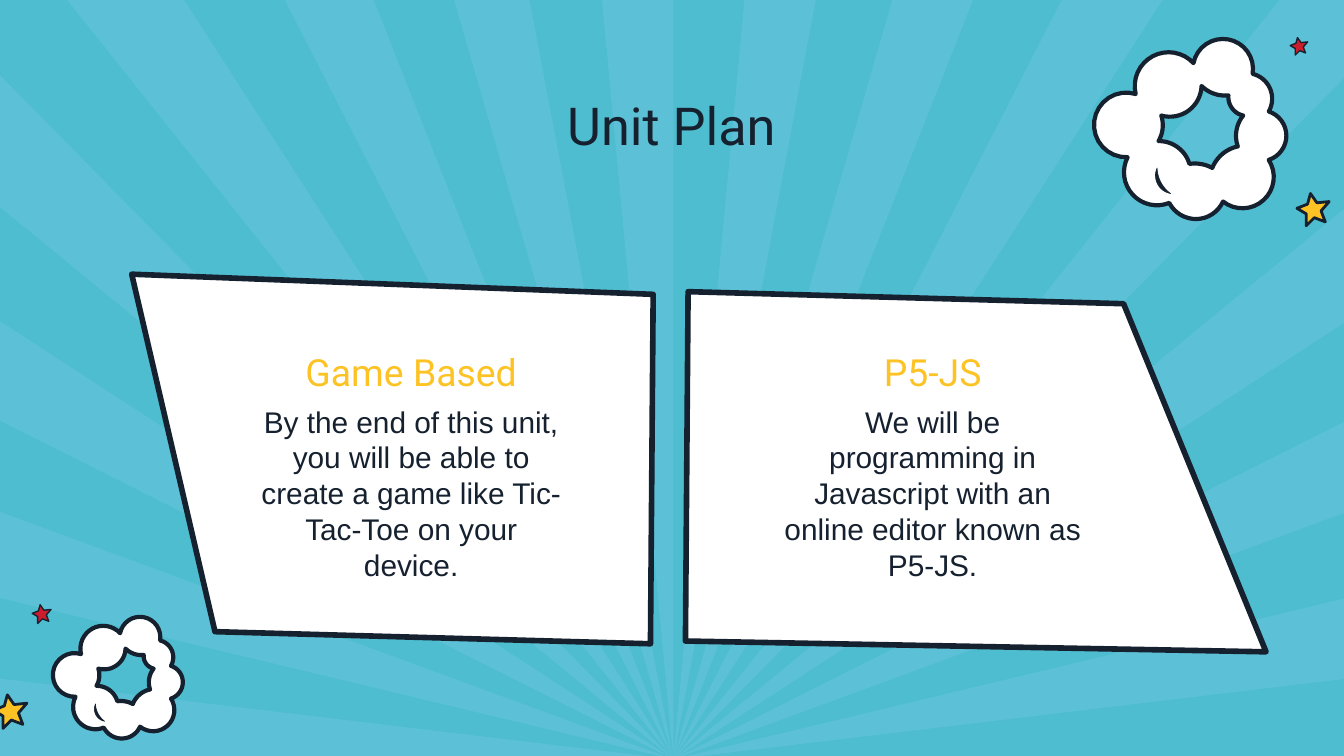
import math
from dataclasses import dataclass

from pptx import Presentation
from pptx import util as u
from pptx.dml.color import RGBColor
from pptx.enum import text


@dataclass(frozen=True)
class Theme:
    """Colours, fonts and type sizes of the slide."""
    sky: str = "4EBDCF"
    ray: str = "5CC1D6"
    ink: str = "162130"
    paper: str = "FFFFFF"
    gold: str = "FDC324"
    red: str = "CC1D2D"
    display: str = "Roboto"
    body: str = "Arial"
    title_size: int = 28
    heading_size: int = 20
    body_size: int = 16


T = Theme()
SLIDE_WIDTH = 10
SLIDE_HEIGHT = SLIDE_WIDTH * 9 / 16
HUB = (5.01, 5.65)
TOP_EDGES = [0.5, 1.37, 2.12, 2.78, 3.38, 3.94, 4.48, 5.01,
             5.54, 6.07, 6.64, 7.24, 7.9, 8.65, 9.52]
SIDE_EDGES = [0.56, 1.54, 2.39, 3.13, 3.81, 4.45, 5.05]
CLOUD_WIDTH = 1.48
CLOUD_RIM = [(0.76, 0.18), (0.98, 0), (1.2, 0.26), (1.34, 0.4), (1.32, 0.54),
             (1.45, 0.7), (1.32, 0.9), (1.3, 1.18), (0.98, 1.21), (0.77, 1.34),
             (0.58, 1.22), (0.33, 1.18), (0.27, 0.88), (0.02, 0.65),
             (0.33, 0.41), (0.39, 0.18)]
CLOUD_HOLE = [(0.82, 0.35), (0.76, 0.5), (0.52, 0.57), (0.53, 0.67), (0.5, 0.76),
              (0.66, 0.82), (0.73, 0.93), (0.81, 0.93), (0.9, 0.96),
              (0.95, 0.88), (1.09, 0.8), (1.08, 0.68), (1.13, 0.57),
              (1.05, 0.52), (1.02, 0.42), (0.92, 0.41)]
CLOUD_CREASE = [(0.49, 0.96), (0.52, 1.07), (0.59, 1.15), (0.5, 1.09)]
STAR = [(0, 0.46), (0.33, 0.33), (0.42, 0), (0.62, 0.29), (1, 0.25), (0.75, 0.54),
        (0.88, 0.88), (0.54, 0.75), (0.29, 1), (0.29, 0.63)]


def color(value):
    """Turn a hex string into a colour."""
    return RGBColor.from_string(value)


def outline(s, contours, fill, line=None, width=0):
    """Draw closed contours, given in inches, as one freeform."""
    b = None
    for contour in contours:
        pts = [(u.Inches(x), u.Inches(y)) for x, y in contour]
        if b is None:
            b = s.shapes.build_freeform(*pts[0], scale=1.0)
        else:
            b.move_to(*pts[0])
        b.add_line_segments(pts[1:], close=True)
    sp = b.convert_to_shape()
    sp.shadow.inherit = False
    sp.fill.solid()
    sp.fill.fore_color.rgb = color(fill)
    if line:
        sp.line.color.rgb = color(line)
        sp.line.width = u.Pt(width)
    else:
        sp.line.fill.background()
    return sp


def arc(a, m, b, steps=16):
    """Points on the circle from a through m towards b, without b."""
    (ax, ay), (mx, my), (bx, by) = a, m, b
    d = 2 * (ax * (my - by) + mx * (by - ay) + bx * (ay - my))
    qa, qm, qb = ax * ax + ay * ay, mx * mx + my * my, bx * bx + by * by
    cx = (qa * (my - by) + qm * (by - ay) + qb * (ay - my)) / d
    cy = (qa * (bx - mx) + qm * (ax - bx) + qb * (mx - ax)) / d
    start = math.atan2(ay - cy, ax - cx)
    sweep = (math.atan2(by - cy, bx - cx) - start) % math.tau
    if (math.atan2(my - cy, mx - cx) - start) % math.tau > sweep:
        sweep -= math.tau
    radius = math.hypot(ax - cx, ay - cy)
    angles = [start + sweep * i / steps for i in range(steps)]
    return [(cx + radius * math.cos(t), cy + radius * math.sin(t)) for t in angles]


def scallop(chain):
    """Join alternating corner and bulge points with arcs."""
    ends = chain[2::2] + chain[:1]
    return [p for a, m, b in zip(chain[::2], chain[1::2], ends) for p in arc(a, m, b)]


def sunburst(s):
    """Fan alternate rays from the hub to the slide edges."""
    right = 2 * HUB[0]
    rim = [(0, HUB[1])] + [(0, y) for y in reversed(SIDE_EDGES)]
    rim += [(x, 0) for x in TOP_EDGES]
    rim += [(right, y) for y in SIDE_EDGES]
    for a, b in zip(rim[::2], rim[1::2]):
        corner = [(right, 0)] if a[1] == 0 and b[0] == right else []
        outline(s, [[HUB, a] + corner + [b]], T.ray)


def cloud(s, left, top, width):
    """Draw a ring of cloud with a crease."""
    k = width / CLOUD_WIDTH

    def place(chain):
        return [(left + x * k, top + y * k) for x, y in scallop(chain)]

    outline(s, [place(CLOUD_RIM), place(CLOUD_HOLE)], T.paper, T.ink, 2.25)
    outline(s, [place(CLOUD_CREASE)], T.ink, T.ink, 0.31)


def star(s, left, top, size, fill, width):
    """Draw a tilted star in a square box."""
    outline(s, [[(left + x * size, top + y * size) for x, y in STAR]], fill, T.ink, width)


def label(s, box, words, font, size, ink, spacing=None, after=None):
    """Place one centred paragraph in a box."""
    tf = s.shapes.add_textbox(*map(u.Inches, box)).text_frame
    tf.word_wrap = True
    tf.vertical_anchor = text.MSO_ANCHOR.TOP
    tf.margin_left = tf.margin_right = tf.margin_top = tf.margin_bottom = u.Inches(0.1)
    p = tf.paragraphs[0]
    p.text = words
    p.alignment = text.PP_ALIGN.CENTER
    if spacing:
        p.line_spacing = spacing
    if after:
        p.space_after = u.Pt(after)
    f = p.runs[0].font
    f.name, f.size = font, u.Pt(size)
    f.color.rgb = color(ink)


def panel(s, left, top, corners, heading, body):
    """Draw a slanted panel with its heading and body at left, top."""
    outline(s, [[(left + x, top + y) for x, y in corners]], T.paper, T.ink, 3)
    label(s, (left, top, 2.46, 0.35), heading, T.display, T.heading_size, T.gold, 1.15, 16)
    label(s, (left, top + 0.45, 2.46, 1.52), body, T.body, T.body_size, T.ink, after=16)


def main():
    """Build and save the slide."""
    prs = Presentation()
    prs.slide_width, prs.slide_height = u.Inches(SLIDE_WIDTH), u.Inches(SLIDE_HEIGHT)
    s = prs.slides.add_slide(prs.slide_layouts[6])
    s.background.fill.solid()
    s.background.fill.fore_color.rgb = color(T.sky)
    sunburst(s)
    panel(s, 5.71, 2.45, [(3.71, 2.4), (-0.61, 2.32), (-0.59, -0.28), (2.65, -0.19)],
          "P5-JS",
          "We will be programming in Javascript with an online editor known as P5-JS.")
    panel(s, 1.83, 2.45, [(-0.85, -0.41), (3.03, -0.26), (3.01, 2.34), (-0.23, 2.25)],
          "Game Based",
          "By the end of this unit, you will be able to create a game like "
          "Tic-Tac-Toe on your device.")
    label(s, (1.97, 0.59, 6.05, 1.09), "Unit Plan", T.display, T.title_size, T.ink)
    cloud(s, 8.12, 0.29, CLOUD_WIDTH)
    star(s, 9.65, 1.44, 0.24, T.gold, 1.5)
    star(s, 9.6, 0.28, 0.13, T.red, 0.75)
    cloud(s, 0.38, 4.59, 1)
    star(s, -0.05, 5.17, 0.25, T.gold, 1.5)
    star(s, 0.24, 4.5, 0.14, T.red, 0.75)
    prs.save("out.pptx")


if __name__ == "__main__":
    main()
